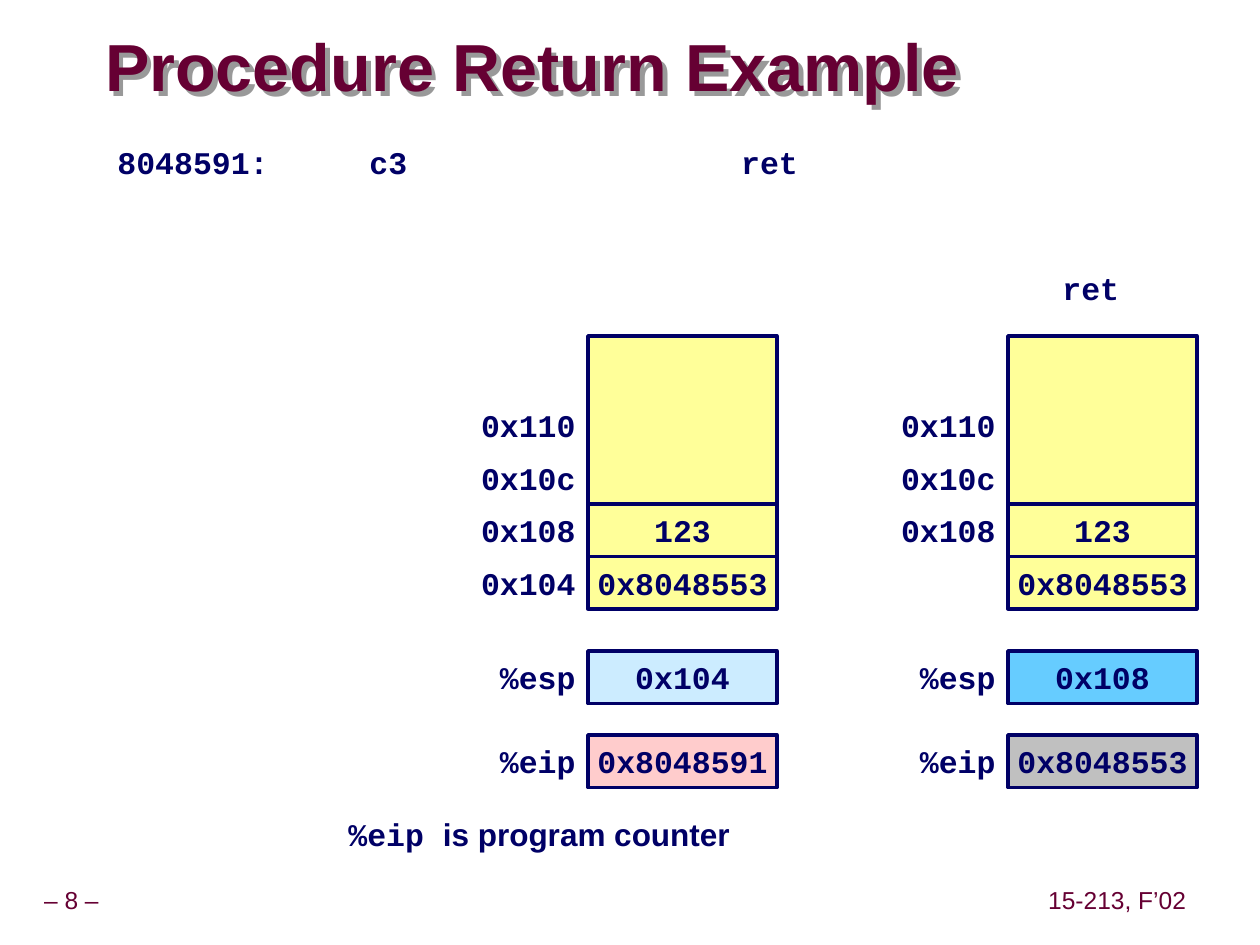
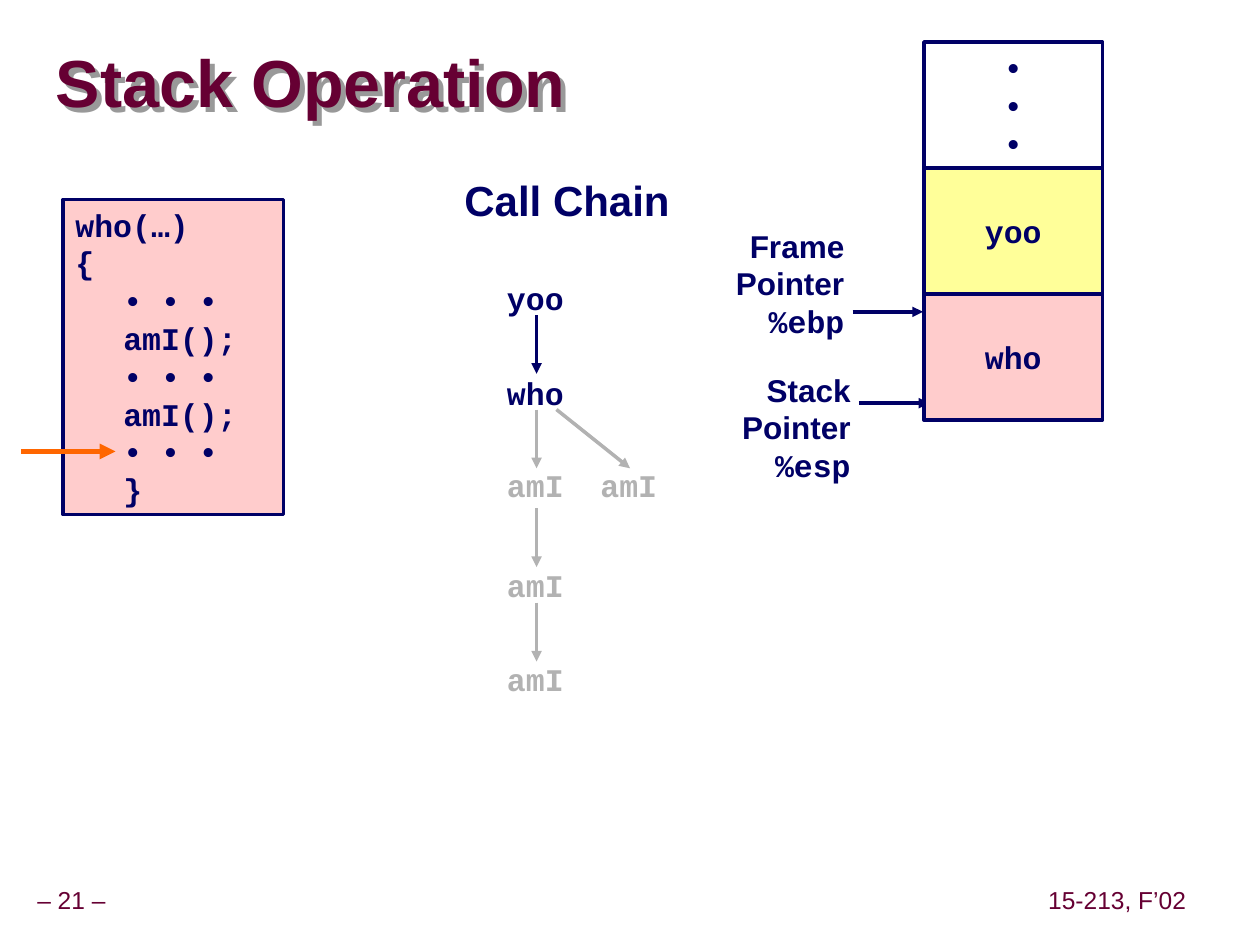
import dataclasses

import lxml.etree
import pptx
import pptx.dml.color
import pptx.enum.shapes
import pptx.enum.text
import pptx.oxml.ns
import pptx.util

ALIGN = pptx.enum.text.PP_ALIGN
MIDDLE = pptx.enum.text.MSO_ANCHOR.MIDDLE
TOP = pptx.enum.text.MSO_ANCHOR.TOP
SLIDE_WIDTH, SLIDE_HEIGHT = pptx.util.Inches(10), pptx.util.Inches(7.5)
COLUMNS, ROWS = 120, 90
TITLE_ONLY = 5


@dataclasses.dataclass(frozen=True)
class Theme:
    ink: str = "000066"
    maroon: str = "660033"
    shadow: str = "999999"
    white: str = "FFFFFF"
    yellow: str = "FFFF99"
    pink: str = "FFCCCC"
    pale_blue: str = "CCECFF"
    blue: str = "66CCFF"
    gray: str = "C0C0C0"
    faded: str = "B2B2B2"
    orange: str = "FF6600"
    sans: str = "Arial"
    mono: str = "Courier New"
    title_size: int = 38
    heading_size: int = 24
    body_size: int = 18
    footer_size: int = 14
    line_pitch: float = 21.6
    outline: int = 2


THEME = Theme()


def rgb(code):
    return pptx.dml.color.RGBColor.from_string(code)


def column(count):
    return round(SLIDE_WIDTH * count / COLUMNS)


def row(count):
    return round(SLIDE_HEIGHT * count / ROWS)


def place(left, top, width, height):
    return column(left), row(top), column(width), row(height)


def assign(target, values):
    for name, value in values.items():
        setattr(target, name, value)


def add_child(parent, tag, **attributes):
    return lxml.etree.SubElement(parent, pptx.oxml.ns.qn(tag), attributes)


def style(font=THEME.mono, size=THEME.body_size, color=THEME.ink, bold=True):
    return {"name": font, "size": pptx.util.Pt(size), "bold": bold}, color


def write_run(paragraph, text, run_style):
    run = paragraph.add_run()
    run.text = text
    values, color = run_style
    assign(run.font, values)
    run.font.color.rgb = rgb(color)


def write(frame, lines, align=ALIGN.LEFT, anchor=TOP, spacing=None, wrap=False):
    assign(frame, {
        "word_wrap": wrap,
        "auto_size": pptx.enum.text.MSO_AUTO_SIZE.NONE,
        "vertical_anchor": anchor,
    })
    for index, runs in enumerate(lines):
        paragraph = frame.add_paragraph() if index else frame.paragraphs[0]
        assign(paragraph, {"alignment": align, "line_spacing": spacing})
        for text, run_style in runs:
            write_run(paragraph, text, run_style)


def add_label(slide, area, lines, **layout):
    label = slide.shapes.add_textbox(*place(*area))
    write(label.text_frame, lines, **layout)
    return label.text_frame


def add_cell(slide, area, fill, lines=(), outlined=True, align=ALIGN.CENTER, **layout):
    cell = slide.shapes.add_shape(pptx.enum.shapes.MSO_SHAPE.RECTANGLE, *place(*area))
    cell.shadow.inherit = False
    cell.fill.solid()
    cell.fill.fore_color.rgb = rgb(fill)
    if outlined:
        cell.line.color.rgb = rgb(THEME.ink)
        cell.line.width = pptx.util.Pt(THEME.outline)
    else:
        cell.line.fill.background()
    write(cell.text_frame, lines, align=align, **{"anchor": MIDDLE, **layout})
    return cell.text_frame


def add_arrow(slide, start, end, color=THEME.ink, width=THEME.outline):
    arrow = slide.shapes.add_connector(
        pptx.enum.shapes.MSO_CONNECTOR.STRAIGHT,
        column(start[0]), row(start[1]), column(end[0]), row(end[1]))
    arrow.line.color.rgb = rgb(color)
    arrow.line.width = pptx.util.Pt(width)
    add_child(arrow.line._get_or_add_ln(), "a:tailEnd", type="triangle")
    add_child(arrow._element.spPr, "a:effectLst")


def add_title(slide, text, area):
    title = slide.shapes.title
    left, top, width, height = place(*area)
    assign(title, {"left": left, "top": top, "width": width, "height": height})
    assign(title.text_frame, dict.fromkeys(
        ("margin_left", "margin_top", "margin_right", "margin_bottom"), 0))
    title_style = style(THEME.sans, THEME.title_size, THEME.maroon)
    write(title.text_frame, [[(text, title_style)]], anchor=MIDDLE, spacing=0.87, wrap=True)
    title.shadow.inherit = False
    effects = title._element.spPr.find(pptx.oxml.ns.qn("a:effectLst"))
    shadow = add_child(effects, "a:outerShdw", dist="50800", dir="2700000",
                       algn="ctr", rotWithShape="0")
    add_child(shadow, "a:srgbClr", val=THEME.shadow)


def add_footers(slide, number):
    footer_style = style(THEME.sans, THEME.footer_size, THEME.maroon, bold=False)
    for left, text in ((0, f"– {number} –"), (99.6, "15-213, F’02")):
        add_label(slide, (left, 84, 13.6, 3.7), [[(text, footer_style)]],
                  align=ALIGN.CENTER, anchor=MIDDLE, spacing=0.9)


def start_slide(deck, number, title, title_area):
    slide = deck.slides.add_slide(deck.slide_layouts[TITLE_ONLY])
    add_title(slide, title, title_area)
    add_footers(slide, number)
    return slide


def add_memory(slide, left, addresses, registers):
    label_width, cell_width, cell_height = 18, 18, 5
    cell_left = left + label_width
    stack_top, known_top = 32, 48

    def add_address(text, top):
        add_cell(slide, (left, top, label_width, cell_height), THEME.white,
                 [[(text, style())]], outlined=False, align=ALIGN.RIGHT)

    for index, address in enumerate(addresses):
        add_address(address, known_top + cell_height * (index - 2))
    add_cell(slide, (cell_left, stack_top, cell_width, known_top - stack_top), THEME.yellow)
    for index, value in enumerate(("123", "0x8048553")):
        add_cell(slide, (cell_left, known_top + cell_height * index, cell_width, cell_height),
                 THEME.yellow, [[(value, style())]])
    for index, (register, value, fill) in enumerate(registers):
        top = 62 + 8 * index
        add_address(register, top)
        add_cell(slide, (cell_left, top, cell_width, cell_height), fill, [[(value, style())]])


def build_return_slide(deck):
    slide = start_slide(deck, 8, "Procedure Return Example", (10, 3, 105, 7.5))
    instruction = add_label(slide, (10, 13, 68, 4.8), [[("8048591:\tc3\tret", style())]])
    stops = add_child(instruction.paragraphs[0]._p.get_or_add_pPr(), "a:tabLst")
    for inches in (2, 4.95):
        add_child(stops, "a:tab", pos=str(pptx.util.Inches(inches)), algn="l")
    add_label(slide, (100, 25, 7.8, 4.8), [[("ret", style())]])
    addresses = ("0x110", "0x10c", "0x108", "0x104")
    add_memory(slide, 38, addresses, (
        ("%esp", "0x104", THEME.pale_blue), ("%eip", "0x8048591", THEME.pink)))
    add_memory(slide, 78, addresses[:3], (
        ("%esp", "0x108", THEME.blue), ("%eip", "0x8048553", THEME.gray)))
    add_label(slide, (32, 77, 38.8, 4.8),
              [[("%eip ", style()), ("is program counter", style(THEME.sans))]])


def add_pointer(slide, kind, register, left, top, arrow_row):
    lines = [[(kind, style(THEME.sans))], [("Pointer", style(THEME.sans))],
             [(register, style())]]
    add_label(slide, (left, top, 12.7, 12), lines, align=ALIGN.RIGHT,
              spacing=pptx.util.Pt(THEME.line_pitch))
    arrow_left = left + 12.3
    add_arrow(slide, (arrow_left, arrow_row), (arrow_left + 6.7, arrow_row))


def add_frames(slide):
    frames = ((("•", "•", "•"), THEME.white), (("yoo",), THEME.yellow),
              (("who",), THEME.pink))
    height = 12
    for index, (words, fill) in enumerate(frames):
        add_cell(slide, (88, 4 + height * index, 17, height), fill,
                 [[(word, style())] for word in words],
                 spacing=pptx.util.Pt(THEME.line_pitch))


def add_code(slide):
    code = ("who(…)", "{", "• • •", "amI();", "• • •", "amI();", "• • •", "}")
    frame = add_cell(slide, (6, 19, 21, 30), THEME.pink,
                     [[(line, style())] for line in code], align=ALIGN.LEFT,
                     anchor=TOP, spacing=pptx.util.Pt(THEME.line_pitch))
    for paragraph in frame.paragraphs[2:]:
        paragraph._p.get_or_add_pPr().set("marL", str(pptx.util.Inches(0.38)))
    add_arrow(slide, (2, 43), (11, 43), THEME.orange, 3)


def add_call_chain(slide):
    add_label(slide, (43, 16, 22, 6), [[("Call Chain", style(THEME.sans, THEME.heading_size))]],
              align=ALIGN.CENTER)
    chain_left, branch_left, drop = 47.1, 56, 5.6
    chain_center = chain_left + 4
    calls = (("yoo", chain_left, 26, THEME.ink), ("who", chain_left, 35, THEME.ink),
             ("amI", chain_left, 43.8, THEME.faded), ("amI", branch_left, 43.8, THEME.faded),
             ("amI", chain_left, 53.3, THEME.faded), ("amI", chain_left, 62.3, THEME.faded))
    for procedure, left, top, color in calls:
        add_label(slide, (left, top, 8, 4.8), [[(procedure, style(color=color))]])
    for top, color in ((30, THEME.ink), (39, THEME.faded),
                       (48.4, THEME.faded), (57.4, THEME.faded)):
        add_arrow(slide, (chain_center, top), (chain_center, top + drop), color)
    add_arrow(slide, (53, 39), (60, 39 + drop), THEME.faded)


def build_stack_slide(deck):
    slide = start_slide(deck, 21, "Stack Operation", (5.3, 3.2, 114.4, 10.2))
    add_pointer(slide, "Stack", "%esp", 69.5, 34.7, 38.4)
    add_frames(slide)
    add_pointer(slide, "Frame", "%ebp", 68.9, 21, 29.7)
    add_code(slide)
    add_call_chain(slide)


def main():
    deck = pptx.Presentation()
    assign(deck, {"slide_width": SLIDE_WIDTH, "slide_height": SLIDE_HEIGHT})
    build_return_slide(deck)
    build_stack_slide(deck)
    deck.save("out.pptx")


if __name__ == "__main__":
    main()
